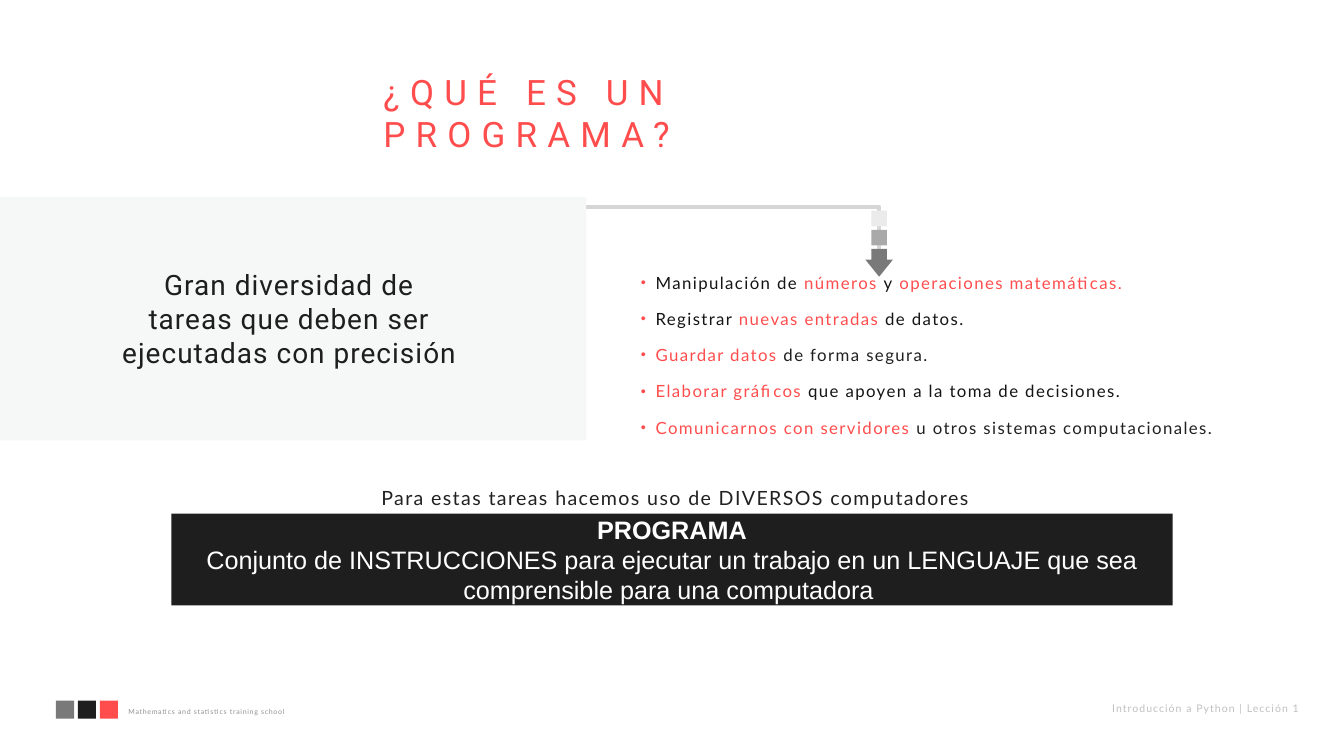
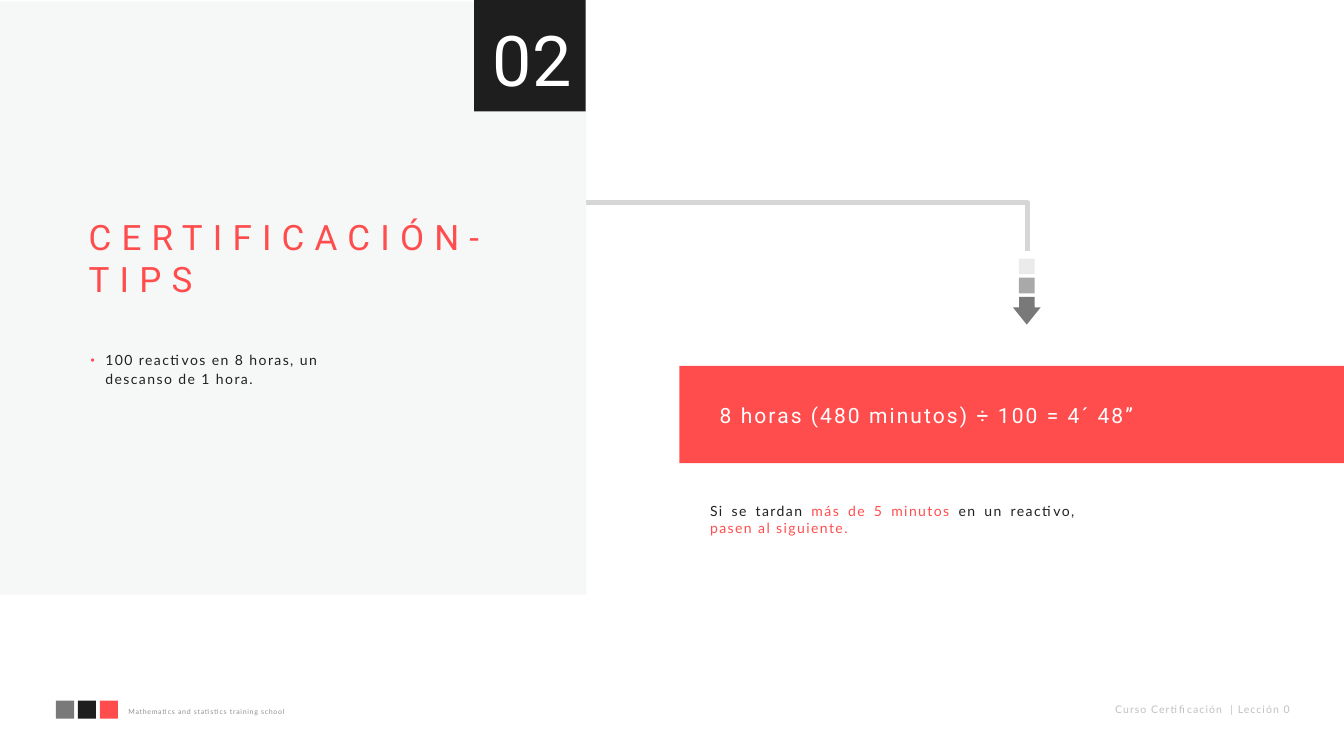
from dataclasses import dataclass
from typing import Any, NamedTuple, Optional, Sequence

import pptx
import pptx.dml.color
import pptx.enum.shapes
import pptx.enum.text
import pptx.oxml.ns
import pptx.util
from lxml import etree

Inches = pptx.util.Inches
Align = pptx.enum.text.PP_ALIGN
Anchor = pptx.enum.text.MSO_ANCHOR
Kind = pptx.enum.shapes.MSO_SHAPE


# Theme: colours, fonts and type sizes
@dataclass(frozen=True)
class Theme:
    red: str = "FF4D4D"
    black: str = "1E1E1E"
    ink: str = "151515"
    soft: str = "212121"
    white: str = "FFFFFF"
    panel: str = "F6F7F7"
    line: str = "D6D6D6"
    dark: str = "797979"
    mid: str = "A9A9A9"
    pale: str = "EBEBEB"
    brand: str = "919191"
    foot: str = "C0C0C0"
    head: str = "Roboto"
    body: str = "Lato"
    plain: str = "Arial"
    title: float = 50
    number: float = 100
    lead: float = 40
    strong: float = 36
    call: float = 30
    note: float = 28
    list: float = 24
    small: float = 20
    page: float = 15
    tiny: float = 10


T = Theme()


class Box(NamedTuple):
    left: float
    top: float
    width: float
    height: float

    def emu(self) -> list[int]:
        return [Inches(side) for side in self]


class Span(NamedTuple):
    text: str
    tint: str
    bold: bool = False


Line = Sequence[Span]


def paint(color: Any, tint: str) -> None:
    color.rgb = pptx.dml.color.RGBColor.from_string(tint)


# Text
def dot(para: Any) -> None:
    """Add a small red bullet with a hanging indent."""
    props = para._p.get_or_add_pPr()
    props.set("marL", str(Inches(0.29)))
    props.set("indent", str(-Inches(0.29)))

    def add(parent: Any, tag: str, **values: str) -> Any:
        return etree.SubElement(parent, pptx.oxml.ns.qn(tag), **values)

    add(add(props, "a:buClr"), "a:srgbClr", val=T.red)
    add(props, "a:buSzPct", val="85000")
    add(props, "a:buFont", typeface="Arial")
    add(props, "a:buChar", char="•")


def write(frame: Any, lines: Sequence[Line], *, size: float, font: str,
          space: float = 0, align: Any = Align.LEFT, anchor: Any = Anchor.MIDDLE,
          inset: float = 0.06, lead: Optional[float] = None,
          gap: float = 0, bullet: bool = False) -> None:
    frame.auto_size = pptx.enum.text.MSO_AUTO_SIZE.NONE
    frame.word_wrap = True
    frame.vertical_anchor = anchor
    frame.margin_left = frame.margin_right = Inches(inset)
    frame.margin_top = frame.margin_bottom = Inches(inset)
    for row, spans in enumerate(lines):
        para = frame.add_paragraph() if row else frame.paragraphs[0]
        if bullet:
            dot(para)
        para.alignment = align
        para.space_before = pptx.util.Pt(gap if row else 0)
        if lead:
            para.line_spacing = lead
        for span in spans:
            run = para.add_run()
            run.text = span.text
            run.font.name = font
            run.font.size = pptx.util.Pt(size)
            run.font.bold = span.bold
            paint(run.font.color, span.tint)
            if space:
                run._r.get_or_add_rPr().set("spc", str(round(space * 100)))


def label(slide: Any, box: Box, lines: Sequence[Line], **style: Any) -> None:
    write(slide.shapes.add_textbox(*box.emu()).text_frame, lines, **style)


def title(slide: Any, box: Box, text: str) -> None:
    shape = slide.shapes.title
    shape.left, shape.top, shape.width, shape.height = box.emu()
    write(shape.text_frame, [[Span(text, T.red)]],
          size=T.title, font=T.head, space=14.5)


# Shapes
def block(shapes: Any, box: Box, tint: str, kind: Any = Kind.RECTANGLE) -> Any:
    shape = shapes.add_shape(kind, *box.emu())
    shape.shadow.inherit = False
    shape.fill.solid()
    paint(shape.fill.fore_color, tint)
    shape.line.fill.background()
    return shape


def elbow(slide: Any, left: float, top: float, width: float) -> None:
    """Draw a line to the right that turns down."""
    right, end = Inches(left + width), Inches(top + 0.96)
    build = slide.shapes.build_freeform(Inches(left), Inches(top))
    build.add_line_segments([(right, Inches(top)), (right, end)], close=False)
    shape = build.convert_to_shape()
    shape.shadow.inherit = False
    shape.fill.background()
    paint(shape.line.color, T.line)
    shape.line.width = pptx.util.Pt(6)


def arrow(slide: Any, left: float, top: float) -> None:
    """Draw two squares that lead down to an arrowhead."""
    group = slide.shapes.add_group_shape().shapes
    tip = block(group, Box(left - 0.12, top + 0.76, 0.55, 0.55), T.dark,
                Kind.RIGHT_ARROW)
    tip.rotation = 90
    tip.adjustments[0], tip.adjustments[1] = 0.561, 0.62
    for step, tint in enumerate((T.pale, T.mid)):
        block(group, Box(left, top + 0.38 * step, 0.31, 0.31), tint)


def footer(slide: Any, box: Box, text: str) -> None:
    group = slide.shapes.add_group_shape().shapes
    for step, tint in enumerate((T.dark, T.black, T.red)):
        block(group, Box(1.11 + 0.435 * step, 13.9, 0.36, 0.36), tint)
    label(slide, Box(2.49, 13.98, 5.74, 0.29),
          [[Span("Mathematics and statistics training school", T.brand)]],
          size=T.tiny, font=T.body, space=1)
    label(slide, box, [[Span(text, T.foot)]], size=T.page, font=T.body,
          space=1.5, align=Align.CENTER)


# Slide 1: what a program is
TASKS: list[Line] = [
    [Span("Manipulación de ", T.ink), Span("números ", T.red), Span("y", T.ink),
     Span(" operaciones matemáticas.", T.red)],
    [Span("Registrar ", T.ink), Span("nuevas entradas ", T.red),
     Span("de datos.", T.ink)],
    [Span("Guardar datos ", T.red), Span("de forma segura.", T.soft)],
    [Span("Elaborar gráficos", T.red),
     Span(" que apoyen a la toma de decisiones.", T.ink)],
    [Span("Comunicarnos con servidores ", T.red),
     Span("u otros sistemas computacionales.", T.soft)],
]


def program(slide: Any) -> None:
    title(slide, Box(7.55, 1.75, 11.57, 0.95), "¿QUÉ ES UN PROGRAMA?")
    elbow(slide, 11.17, 4.1, 6.27)
    block(slide.shapes, Box(-0.14, 3.91, 11.77, 4.83), T.panel)
    arrow(slide, 17.29, 4.18)
    label(slide, Box(2.34, 5.25, 6.8, 2.13),
          [[Span("Gran diversidad de tareas que deben ser ejecutadas con precisión",
                 T.black)]],
          size=T.lead, font=T.head, space=1.5, align=Align.CENTER)
    label(slide, Box(4.28, 9.54, 18.24, 0.6),
          [[Span("Para estas tareas hacemos uso de DIVERSOS computadores", T.soft)]],
          size=T.note, font=T.body, space=2, align=Align.CENTER,
          anchor=Anchor.TOP, lead=1.1)
    band = block(slide.shapes, Box(3.4, 10.19, 19.87, 1.82), T.black)
    write(band.text_frame,
          [[Span("PROGRAMA", T.white, True)],
           [Span("Conjunto de INSTRUCCIONES para ejecutar un trabajo en un "
                 "LENGUAJE que sea comprensible para una computadora ", T.white)]],
          size=T.strong, font=T.plain, align=Align.CENTER, inset=0)
    label(slide, Box(12.66, 5.31, 12.34, 3.43), TASKS, size=T.list, font=T.body,
          space=2, anchor=Anchor.TOP, lead=1.1, gap=20, bullet=True)
    footer(slide, Box(21.79, 13.87, 4.27, 0.36), "Introducción a Python | Lección 1")


# Slide 2: tips for the exam
def tips(slide: Any) -> None:
    block(slide.shapes, Box(13.48, 7.26, 16, 1.93), T.red)
    elbow(slide, 11.34, 4.02, 9.05)
    panel = block(slide.shapes, Box(-0.14, 0.03, 11.77, 11.77), T.panel)
    block(slide.shapes, Box(9.41, 0, 2.21, 2.21), T.black)
    arrow(slide, 20.22, 5.13)
    # Bring the title in front of the panel
    panel._element.addnext(slide.shapes.title._element)
    title(slide, Box(1.7, 4.25, 9.09, 1.72), "CERTIFICACIÓN-TIPS")
    label(slide, Box(9.21, 0.31, 2.7, 1.72), [[Span("02", T.white)]],
          size=T.number, font=T.head, align=Align.CENTER)
    label(slide, Box(1.74, 6.89, 5.91, 0.9),
          [[Span("100 reactivos en 8 horas, un descanso de 1 hora.", T.soft)]],
          size=T.small, font=T.body, space=2, anchor=Anchor.TOP, lead=1.1,
          bullet=True)
    label(slide, Box(14.22, 7.93, 9.75, 0.6),
          [[Span("8 horas (480 minutos) ÷ 100 = 4´ 48”", T.white)]],
          size=T.call, font=T.head, space=3)
    label(slide, Box(14.03, 9.87, 7.38, 0.86),
          [[Span("Si se tardan", T.soft), Span(" más de 5 minutos", T.red),
            Span(" en un reactivo, ", T.soft), Span("pasen al siguiente.", T.red)]],
          size=T.small, font=T.body, space=2, align=Align.JUSTIFY)
    footer(slide, Box(21.73, 13.88, 4.27, 0.4), "Curso Certificación  | Lección 0")


def main() -> None:
    deck = pptx.Presentation()
    deck.slide_width, deck.slide_height = Inches(26.67), Inches(15)
    for draw in (program, tips):
        draw(deck.slides.add_slide(deck.slide_layouts[5]))
    deck.save("out.pptx")


if __name__ == "__main__":
    main()
